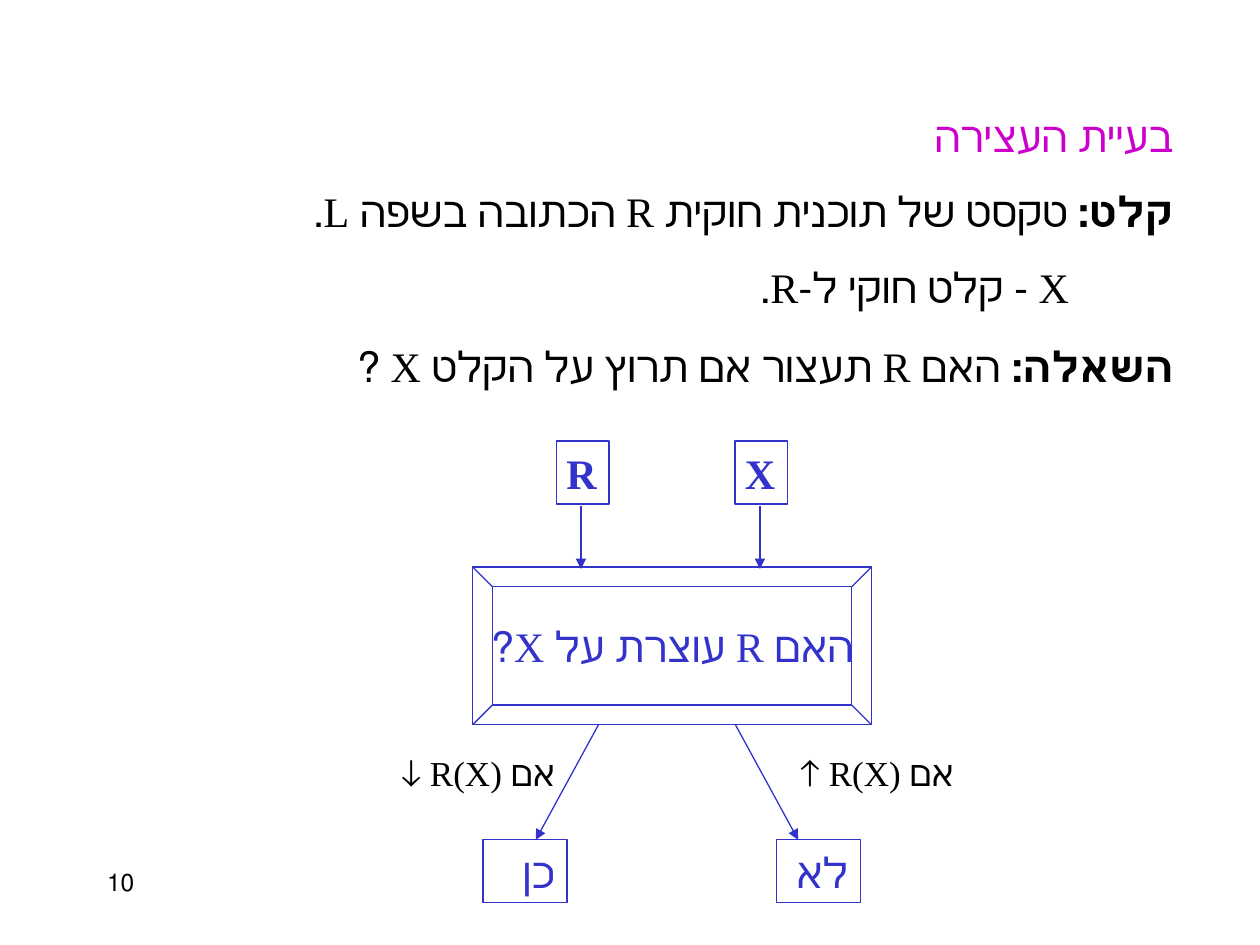
from lxml import etree
from pptx import Presentation
from pptx.dml.color import RGBColor
from pptx.enum.shapes import MSO_CONNECTOR, MSO_SHAPE
from pptx.enum.text import MSO_ANCHOR, PP_ALIGN
from pptx.oxml.ns import qn
from pptx.util import Cm, Pt

BLACK = RGBColor(0x00, 0x00, 0x00)
BLUE = RGBColor(0x33, 0x33, 0xCC)
MAGENTA = RGBColor(0xCC, 0x00, 0xCC)
LINE_HEIGHT = 1.27

presentation = Presentation()
presentation.slide_width, presentation.slide_height = Cm(25.4), Cm(19.05)
slide = presentation.slides.add_slide(presentation.slide_layouts[6])
shapes = slide.shapes


def write(paragraph, text, size=24, color=BLACK, align=PP_ALIGN.RIGHT, bold_lead=""):
    """Fill a right-to-left paragraph, optionally opening with bold words."""
    paragraph.alignment = align
    paragraph._p.get_or_add_pPr().set("rtl", "1")
    paragraph.font.name = "Times New Roman"
    paragraph.font.size = Pt(size)
    paragraph.font.color.rgb = color
    if bold_lead:
        lead = paragraph.add_run()
        lead.text = bold_lead
        lead.font.bold = True
    if text:
        paragraph.add_run().text = text


def add_text(left, top, width, height, text, **style):
    box = shapes.add_textbox(Cm(left), Cm(top), Cm(width), Cm(height))
    box.text_frame.word_wrap = True
    write(box.text_frame.paragraphs[0], text, **style)
    return box.text_frame


# Problem statement
add_text(0.2, 2.11, 23.7, LINE_HEIGHT, "בעיית העצירה", color=MAGENTA)
inputs = add_text(0.2, 3.61, 23.7, 2.82, " טקסט של תוכנית חוקית R הכתובה בשפה L.",
                  bold_lead="קלט:")
second_input = inputs.add_paragraph()
second_input.space_before = Pt(15)
second_input._p.get_or_add_pPr().set("marL", str(Cm(2.1)))
write(second_input, "X - קלט חוקי ל-R.")
add_text(0.2, 6.73, 23.7, LINE_HEIGHT, "האם R תעצור אם תרוץ על הקלט X ?",
         bold_lead="השאלה: ")

# Decision box, its inputs and its answers
RECT, BEVEL = MSO_SHAPE.RECTANGLE, MSO_SHAPE.BEVEL
nodes = [
    (BEVEL, 9.53, 11.43, 8.04, 3.18, "האם R עוצרת על X?", ""),
    (RECT, 14.82, 8.89, 1.06, LINE_HEIGHT, "", "X"),
    (RECT, 11.22, 8.89, 1.06, LINE_HEIGHT, "", "R"),
    (RECT, 15.66, 16.93, 1.69, LINE_HEIGHT, "לא", ""),
    (RECT, 9.74, 16.93, 1.69, LINE_HEIGHT, "כן", ""),
]
for kind, left, top, width, height, text, bold_text in nodes:
    node = shapes.add_shape(kind, Cm(left), Cm(top), Cm(width), Cm(height))
    node.shadow.inherit = False
    node.fill.background()
    node.line.color.rgb = BLUE
    node.line.width = Pt(0.75)
    frame = node.text_frame
    is_decision = kind == BEVEL
    frame.word_wrap = not is_decision
    frame.vertical_anchor = MSO_ANCHOR.MIDDLE if is_decision else MSO_ANCHOR.TOP
    write(frame.paragraphs[0], text, color=BLUE, bold_lead=bold_text,
          align=PP_ALIGN.CENTER if is_decision else PP_ALIGN.RIGHT)

# Arrows into and out of the decision box
arrows = [
    (11.71, 10.2, 11.71, 11.47),
    (15.32, 10.2, 15.32, 11.47),
    (12.07, 14.6, 10.8, 16.93),
    (14.82, 14.6, 16.09, 16.93),
]
for ends in arrows:
    arrow = shapes.add_connector(MSO_CONNECTOR.STRAIGHT, *map(Cm, ends))
    arrow.line.color.rgb = BLUE
    arrow.line.width = Pt(0.75)
    etree.SubElement(arrow.line._get_or_add_ln(), qn("a:tailEnd"), type="triangle")
    etree.SubElement(arrow._element.spPr, qn("a:effectLst"))

# Answer conditions
for left, condition in [(15.03, "אם R(X) ↑"), (6.99, "אם R(X) ↓")]:
    add_text(left, 15.03, 4.45, LINE_HEIGHT, condition, size=20)

# Page number
add_text(1.91, 17.36, 5.29, LINE_HEIGHT, "10", size=14, align=PP_ALIGN.LEFT)

presentation.save("out.pptx")
